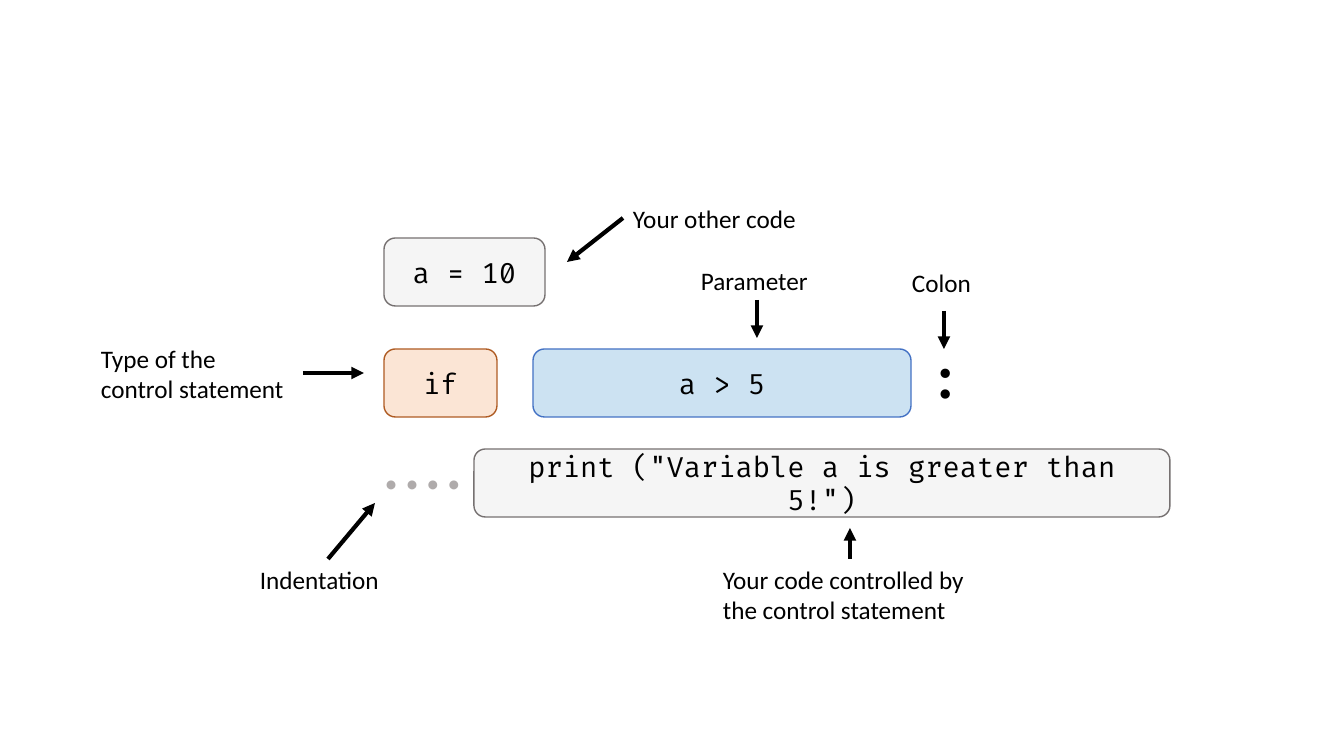
from pptx import Presentation, util as u
from pptx.dml.color import RGBColor
from pptx.enum import shapes, text
from pptx.oxml.ns import qn
from lxml import etree

BLACK = RGBColor(0x00, 0x00, 0x00)
ORANGE, RUST = RGBColor(0xED, 0x7D, 0x31), RGBColor(0xAF, 0x5C, 0x24)
BLUE, NAVY = RGBColor(0x00, 0x70, 0xC0), RGBColor(0x44, 0x72, 0xC4)
SILVER, GRAY = RGBColor(0xD0, 0xCE, 0xCE), RGBColor(0x76, 0x71, 0x71)
DOT = RGBColor(0xAF, 0xAB, 0xAB)
CODE, BODY = "Fira Code", "Calibri"
SCALE = 914400 / 100.8


def px(*vals):
    return [u.Emu(round(v * SCALE)) for v in vals]


class Board:
    def __init__(self, slide):
        self.shapes = slide.shapes

    def letter(self, shape, words, face, size, color):
        shape.text_frame.word_wrap = True
        para = shape.text_frame.paragraphs[0]
        para.text = words
        para.font.name, para.font.size = face, u.Pt(size)
        para.font.color.rgb = color
        return para

    def block(self, words, x, y, w, fill, edge):
        """Rounded code box with a pale, see-through fill."""
        box = self.shapes.add_shape(shapes.MSO_SHAPE.ROUNDED_RECTANGLE, *px(x, y, w, 68))
        box.shadow.inherit = False
        box.fill.solid()
        box.fill.fore_color.rgb = fill
        tint = box._element.spPr.find(qn("a:solidFill"))[0]
        etree.SubElement(tint, qn("a:alpha"), val="20000")
        box.line.color.rgb, box.line.width = edge, u.Pt(1)
        box.text_frame.vertical_anchor = text.MSO_ANCHOR.MIDDLE
        para = self.letter(box, words, CODE, 20, BLACK)
        para.alignment = text.PP_ALIGN.CENTER

    def label(self, words, x, y, w, h=40, face=BODY, size=18, color=BLACK, gap=0):
        box = self.shapes.add_textbox(*px(x, y, w, h))
        para = self.letter(box, words, face, size, color)
        box.text_frame.auto_size = text.MSO_AUTO_SIZE.SHAPE_TO_FIT_TEXT
        if gap:
            para.runs[0]._r.get_or_add_rPr().set("spc", str(gap * 100))

    def arrow(self, *ends):
        line = self.shapes.add_connector(shapes.MSO_CONNECTOR.STRAIGHT, *px(*ends))
        line.line.color.rgb, line.line.width = BLACK, u.Pt(3)
        props = line._element.spPr
        etree.SubElement(props.find(qn("a:ln")), qn("a:tailEnd"), type="triangle")
        etree.SubElement(props, qn("a:effectLst"))


deck = Presentation()
deck.slide_width, deck.slide_height = px(1344, 756)
board = Board(deck.slides.add_slide(deck.slide_layouts[6]))

# Code blocks
LEFT, ROW = 384, 349
board.block("a = 10", LEFT, 238, 161, SILVER, GRAY)
board.block("if", LEFT, ROW, 113, ORANGE, RUST)
board.block("a > 5", 533, ROW, 378, BLUE, NAVY)
board.block('print ("Variable a is greater than 5!")', 474, 449, 696, SILVER, GRAY)

# Colon and indentation marks
board.label(":", 919, 338, 70, 78, face=CODE, size=40)
board.label("••••", 375, 462, 129, color=DOT, gap=6)

# Captions
for caption in [
    ("Your other code", 623, 198, 200),
    ("Parameter", 691, 260, 130),
    ("Colon", 902, 262, 87),
    ("Type of the control statement", 91, 338, 204, 72),
    ("Indentation", 250, 559, 154),
    ("Your code controlled by the control statement", 713, 559, 275, 72),
]:
    board.label(*caption)

# Arrows from captions to code
for ends in [
    (623, 218, 567, 262),
    (757, 300, 757, 338),
    (944, 311, 944, 349),
    (303, 373, 364, 373),
    (328, 559, 375, 503),
    (850, 559, 850, 528),
]:
    board.arrow(*ends)

deck.save("out.pptx")
